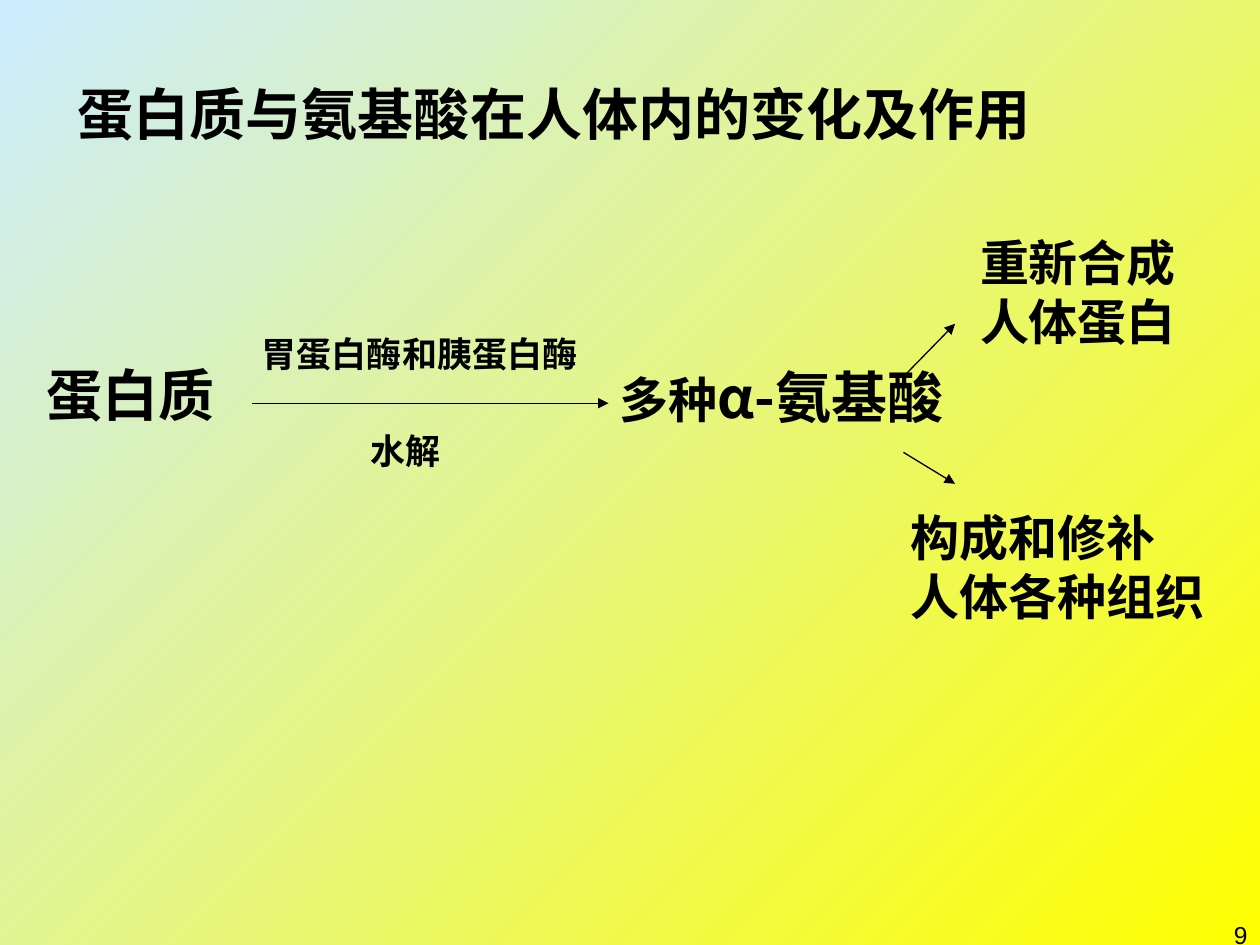
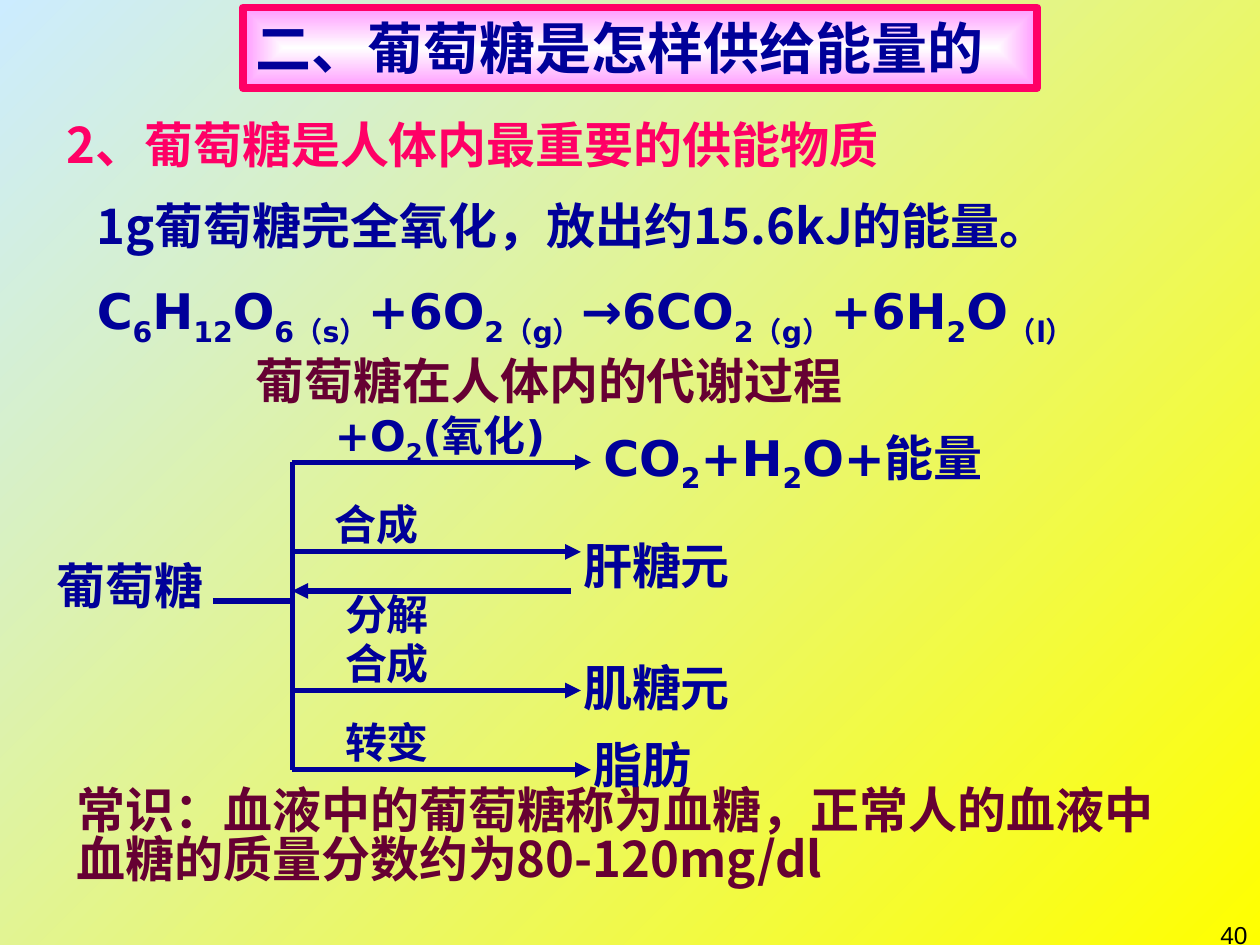
from lxml.etree import SubElement
from pptx import Presentation
from pptx.dml.color import RGBColor
from pptx.enum.shapes import MSO_CONNECTOR, MSO_SHAPE
from pptx.enum.text import MSO_ANCHOR, PP_ALIGN
from pptx.oxml.ns import qn
from pptx.util import Inches, Pt

BLACK = RGBColor(0x00, 0x00, 0x00)
WHITE = RGBColor(0xFF, 0xFF, 0xFF)
NAVY = RGBColor(0x00, 0x00, 0x99)
CRIMSON = RGBColor(0xFF, 0x00, 0x66)
MAROON = RGBColor(0x66, 0x00, 0x33)
PINK = RGBColor(0xFF, 0x99, 0xFF)
YELLOW = RGBColor(0xFF, 0xFF, 0x00)
PALE_BLUE = RGBColor(0xCC, 0xEC, 0xFF)

SANS = "DejaVu Sans"
CHINESE = "Noto Sans CJK SC"
SERIF = "Times New Roman"
NUMBER_FONT = "Arial"

COLUMNS, ROWS = 100, 75
COMPACT = 0.83


class Lesson:
    """Draws styled elements on the current slide, placed on a 100 by 75 grid."""

    def __init__(self, presentation):
        self.presentation = presentation
        self.column = presentation.slide_width // COLUMNS
        self.row = presentation.slide_height // ROWS
        self.slide = None
        self.style = {}

    def new_slide(self, number, **style):
        self.slide = self.presentation.slides.add_slide(self.presentation.slide_layouts[6])
        fill = self.slide.background.fill
        background = self.slide.element.find(".//" + qn("p:bgPr"))
        self.gradient(fill, background, (YELLOW, PALE_BLUE), "circle", {"l": 100, "t": 100})
        self.style = style
        self.text((94, 72.5, 6, 2.5), [number], align=PP_ALIGN.RIGHT,
                  font=NUMBER_FONT, size=14, color=BLACK, bold=False)

    def gradient(self, fill, owner, colors, kind, focus):
        fill.gradient()
        for stop, color in zip(fill.gradient_stops, colors):
            stop.color.rgb = color
        element = owner.find(qn("a:gradFill"))
        element.remove(element.find(qn("a:lin")))
        shading = SubElement(element, qn("a:path"), {"path": kind})
        SubElement(shading, qn("a:fillToRect"),
                   {side: str(share * 1000) for side, share in focus.items()})

    def place(self, left, top, width, height):
        return (round(left * self.column), round(top * self.row),
                round(width * self.column), round(height * self.row))

    def text(self, area, paragraphs, **style):
        box = self.slide.shapes.add_textbox(*self.place(*area))
        self.fill_frame(box.text_frame, paragraphs, **style)

    def fill_frame(self, frame, paragraphs, align=PP_ALIGN.LEFT, spacing=None, **style):
        frame.word_wrap = True
        frame.vertical_anchor = MSO_ANCHOR.TOP
        for index, content in enumerate(paragraphs):
            paragraph = frame.add_paragraph() if index else frame.paragraphs[0]
            for name, value in {"alignment": align, "line_spacing": spacing}.items():
                setattr(paragraph, name, value)
            pieces = [(content, {})] if isinstance(content, str) else content
            for words, change in pieces:
                self.add_words(paragraph, words, **{**self.style, **style, **change})

    def add_words(self, paragraph, words, font, size, color, bold=True, subscript=False):
        run = paragraph.add_run()
        run.text = words
        for name, value in {"name": font, "size": Pt(size), "bold": bold}.items():
            setattr(run.font, name, value)
        run.font.color.rgb = color
        properties = run._r.get_or_add_rPr()
        SubElement(properties, qn("a:ea"), {"typeface": SANS})
        if subscript:
            properties.set("baseline", "-25000")

    def banner(self, area, title):
        shape = self.slide.shapes.add_shape(MSO_SHAPE.RECTANGLE, *self.place(*area))
        shape.shadow.inherit = False
        self.gradient(shape.fill, shape.element.spPr, (WHITE, PINK), "shape",
                      dict.fromkeys("ltrb", 50))
        shape.line.color.rgb = CRIMSON
        shape.line.width = Pt(4.5)
        self.fill_frame(shape.text_frame, [title], size=32)

    def line(self, start, end, weight, arrow=True):
        connector = self.slide.shapes.add_connector(
            MSO_CONNECTOR.STRAIGHT, *self.place(*start, *end))
        connector.line.color.rgb = self.style["color"]
        connector.line.width = Pt(weight)
        properties = connector.element.spPr
        if arrow:
            SubElement(properties.find(qn("a:ln")), qn("a:tailEnd"), {"type": "triangle"})
        SubElement(properties, qn("a:effectLst"))


def formula(marked):
    return [(words, {"subscript": index % 2 == 1})
            for index, words in enumerate(marked.split("_")) if words]


def protein_slide(lesson):
    lesson.new_slide("9", font=SERIF, size=28, color=BLACK)
    lesson.text((5.2, 5.8, 82, 7), ["蛋白质与氨基酸在人体内的变化及作用"], font=CHINESE, size=32)
    lesson.text((2.7, 28.1, 23.6, 6.3), ["蛋白质"], size=32)
    lesson.text((19.8, 25.9, 33.3, 4.3), ["胃蛋白酶和胰蛋白酶"], size=20)
    lesson.text((28.4, 33.6, 12, 4.3), ["水解"], font=CHINESE, size=20)
    lesson.text((48.2, 29.2, 34.9, 6.3), [[("多种", {}), ("α-氨基酸", {"size": 32})]],
                font=CHINESE, spacing=COMPACT)
    lesson.text((76.8, 18, 19.7, 10.3), ["重新合成", "人体蛋白"])
    lesson.text((71.3, 39.8, 28.7, 10.3), ["构成和修补", "人体各种组织"])
    for start, end in (((20, 32), (48.3, 32)),
                       ((71.7, 29.9), (75.8, 25.7)),
                       ((71.7, 35.9), (75.8, 38.4))):
        lesson.line(start, end, 0.75)


def glucose_slide(lesson):
    lesson.new_slide("40", font=SANS, size=28, color=NAVY)
    lesson.banner((19.3, 0.6, 63, 6.4), "二、葡萄糖是怎样供给能量的")
    for area, words, color in (
            ((4.3, 9.4, 74, 5.7), "2、葡萄糖是人体内最重要的供能物质", CRIMSON),
            ((6.7, 15.8, 90.6, 5.7), "1g葡萄糖完全氧化，放出约15.6kJ的能量。", NAVY),
            ((5.1, 62.2, 88.2, 10.3),
             "常识：血液中的葡萄糖称为血糖，正常人的血液中血糖的质量分数约为80-120mg/dl", MAROON)):
        lesson.text(area, [words], font=CHINESE, color=color, spacing=COMPACT)
    lesson.text((6.7, 21.8, 90.6, 5.7),
                [formula("C_6_H_12_O_6（s）_+6O_2（g）_→6CO_2（g）_+6H_2_O_（l）")])
    lesson.text((19.3, 27.3, 51.2, 5.7), ["葡萄糖在人体内的代谢过程"], color=MAROON)

    for left, top, width, words in ((3.5, 43.6, 14.2, "葡萄糖"),
                                    (46.9, 33.4, 37.8, "CO_2_+H_2_O+能量"),
                                    (45.3, 42, 15, "肝糖元"),
                                    (45.3, 51.7, 15.7, "肌糖元"),
                                    (46.1, 57.8, 14.2, "脂肪")):
        lesson.text((left, top, width, 5.7), [formula(words)])

    trunk, first, last = 23.2, 36.7, 61.1
    lesson.line((16.9, 47.7), (trunk, 47.7), 3, arrow=False)
    lesson.line((trunk, first), (trunk, last), 3, arrow=False)
    for words, left, top, start, end, level in (
            ("+O_2_(氧化)", 25.6, 32, trunk, 46.9, first),
            ("合成", 25.6, 39.1, trunk, 46.1, 43.8),
            ("分解", 26.4, 46.2, 45.3, trunk, 46.9),
            ("合成", 26.4, 50.1, trunk, 46.1, 54.8),
            ("转变", 26.4, 56.4, trunk, 46.9, last)):
        lesson.text((left, top, 22, 5), [formula(words)], size=24)
        lesson.line((start, level), (end, level), 3)


def main():
    presentation = Presentation()
    presentation.slide_width = Inches(10)
    presentation.slide_height = Inches(7.5)
    lesson = Lesson(presentation)
    protein_slide(lesson)
    glucose_slide(lesson)
    presentation.save("out.pptx")


if __name__ == "__main__":
    main()
